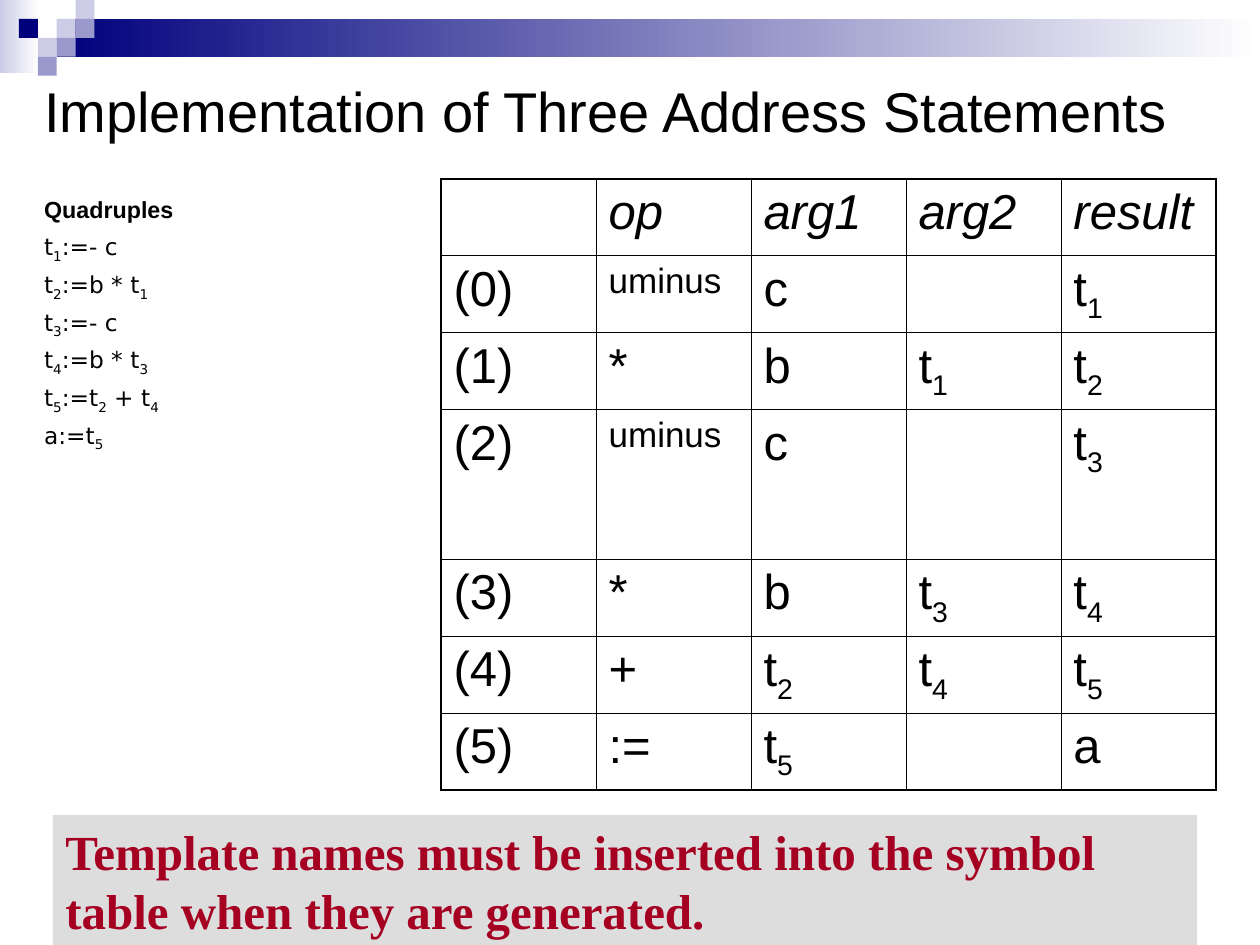
from lxml.etree import SubElement
from pptx import Presentation
from pptx.dml.color import RGBColor
from pptx.enum.shapes import MSO_SHAPE
from pptx.enum.text import MSO_ANCHOR, MSO_AUTO_SIZE, PP_ALIGN
from pptx.oxml.ns import qn
from pptx.util import Inches, Pt

BLACK = RGBColor(0x00, 0x00, 0x00)
WHITE = RGBColor(0xFF, 0xFF, 0xFF)
NAVY = RGBColor(0x00, 0x00, 0x7D)
LAVENDER = RGBColor(0xCC, 0xCC, 0xE6)
PERIWINKLE = RGBColor(0x99, 0x99, 0xCC)
GREY = RGBColor(0xDD, 0xDD, 0xDD)
CRIMSON = RGBColor(0xA5, 0x00, 0x21)

TILE = 0.15
TILES = [  # column, row, colour
    (3, 1, LAVENDER), (4, 0, LAVENDER), (4, 1, PERIWINKLE), (2, 2, LAVENDER),
    (1, 1, NAVY), (3, 2, PERIWINKLE), (2, 3, PERIWINKLE),
]

# An underscore makes the next character a subscript.
CODE = ["t_1:=- c", "t_2:=b * t_1", "t_3:=- c", "t_4:=b * t_3", "t_5:=t_2 + t_4", "a:=t_5"]
QUADRUPLES = [
    ["", "op", "arg1", "arg2", "result"],
    ["(0)", "uminus", "c", "", "t_1"],
    ["(1)", "*", "b", "t_1", "t_2"],
    ["(2)", "uminus", "c", "", "t_3"],
    ["(3)", "*", "b", "t_3", "t_4"],
    ["(4)", "+", "t_2", "t_4", "t_5"],
    ["(5)", ":=", "t_5", "", "a"],
]
COLUMN_WIDTH, ROW_HEIGHT, TALL_ROW_HEIGHT = 1.23, 0.61, 1.19
TALL_ROW = 3
OUTER_LINE, INNER_LINE = 1.08, 0.45


def set_font(para, name, size, color=BLACK, bold=False, italic=False):
    font = para.font
    font.name, font.size, font.bold, font.italic = name, Pt(size), bold, italic
    font.color.rgb = color


def add_indexed_text(para, text):
    """Write text, lowering each character that follows an underscore."""
    first, *rest = text.split("_")
    para.add_run().text = first
    for piece in rest:
        span = para.add_run()
        span.text = piece[0]
        span.font._element.set("baseline", "-25000")
        if piece[1:]:
            para.add_run().text = piece[1:]


def add_rectangle(page, left, top, width, height, color, fade_to=None):
    box = page.shapes.add_shape(MSO_SHAPE.RECTANGLE, Inches(left), Inches(top),
                                Inches(width), Inches(height))
    box.shadow.inherit = False
    box.line.fill.background()
    if fade_to is None:
        box.fill.solid()
        box.fill.fore_color.rgb = color
    else:
        box.fill.gradient()
        box.fill.gradient_angle = 0
        for stop, stop_color in zip(box.fill.gradient_stops, (color, fade_to)):
            stop.color.rgb = stop_color
    return box


def add_banner(page):
    add_rectangle(page, 0, 0, 0.31, 0.58, LAVENDER, WHITE)
    add_rectangle(page, 3 * TILE, TILE, 10 - 3 * TILE, 2 * TILE, NAVY, WHITE)
    for column, row, color in TILES:
        add_rectangle(page, column * TILE, row * TILE, TILE, TILE, color)


def place(holder, left, top, width, height):
    """Move a placeholder and bring it to the front."""
    holder.left, holder.top = Inches(left), Inches(top)
    holder.width, holder.height = Inches(width), Inches(height)
    holder.element.getparent().append(holder.element)
    holder.text_frame.auto_size = MSO_AUTO_SIZE.NONE
    return holder.text_frame


def fill_title(page):
    frame = place(page.shapes.title, 0.25, 0.5, 9.58, 0.75)
    frame.vertical_anchor = MSO_ANCHOR.MIDDLE
    frame.text = "Implementation of Three Address Statements"
    para = frame.paragraphs[0]
    para.alignment = PP_ALIGN.LEFT
    set_font(para, "Arial", 32)


def fill_code(page):
    frame = place(page.placeholders[1], 0.25, 1.5, 3.33, 2.5)
    for index, text in enumerate(["Quadruples"] + CODE):
        is_heading = index == 0
        para = frame.paragraphs[0] if is_heading else frame.add_paragraph()
        add_indexed_text(para, text)
        para.space_before = Pt(0 if is_heading else 7)
        para.line_spacing = 1.0 if is_heading else 0.8
        properties = para._p.get_or_add_pPr()
        properties.set("marL", str(Inches(0.38)))
        properties.set("indent", str(-Inches(0.38)))
        SubElement(properties, qn("a:buNone"))
        set_font(para, "Arial" if is_heading else "DejaVu Sans", 13.3, bold=is_heading)


def set_borders(cell, widths):
    properties = cell._tc.get_or_add_tcPr()
    for side, width in widths.items():
        line = SubElement(properties, qn(f"a:ln{side}"), w=str(Pt(width)))
        fill = SubElement(line, qn("a:solidFill"))
        SubElement(fill, qn("a:srgbClr"), val=str(BLACK))


def add_quadruple_table(page):
    row_count, column_count = len(QUADRUPLES), len(QUADRUPLES[0])
    height = (row_count - 1) * ROW_HEIGHT + TALL_ROW_HEIGHT
    table = page.shapes.add_table(row_count, column_count, Inches(3.5), Inches(1.42),
                                  Inches(column_count * COLUMN_WIDTH), Inches(height)).table
    table.first_row = table.horz_banding = False
    for column in table.columns:
        column.width = Inches(COLUMN_WIDTH)
    for r, texts in enumerate(QUADRUPLES):
        table.rows[r].height = Inches(TALL_ROW_HEIGHT if r == TALL_ROW else ROW_HEIGHT)
        for c, text in enumerate(texts):
            cell = table.cell(r, c)
            on_edge = {"L": c == 0, "R": c == column_count - 1,
                       "T": r == 0, "B": r == row_count - 1}
            set_borders(cell, {side: OUTER_LINE if edge else INNER_LINE
                               for side, edge in on_edge.items()})
            cell.fill.background()
            if text:
                para = cell.text_frame.paragraphs[0]
                add_indexed_text(para, text)
                set_font(para, "Arial", 20 if text == "uminus" else 28, italic=r == 0)


def add_note(page):
    box = add_rectangle(page, 0.42, 6.47, 9.08, 1.03, GREY)
    frame = box.text_frame
    frame.word_wrap = True
    frame.vertical_anchor = MSO_ANCHOR.TOP
    frame.text = ("Template names must be inserted into the symbol table "
                  "when they are generated.")
    para = frame.paragraphs[0]
    para.alignment = PP_ALIGN.LEFT
    set_font(para, "Times New Roman", 28, CRIMSON, bold=True)


def main():
    deck = Presentation()
    deck.slide_width, deck.slide_height = Inches(10), Inches(7.5)
    page = deck.slides.add_slide(deck.slide_layouts[1])
    add_banner(page)
    fill_title(page)
    fill_code(page)
    add_quadruple_table(page)
    add_note(page)
    deck.save("out.pptx")


if __name__ == "__main__":
    main()
